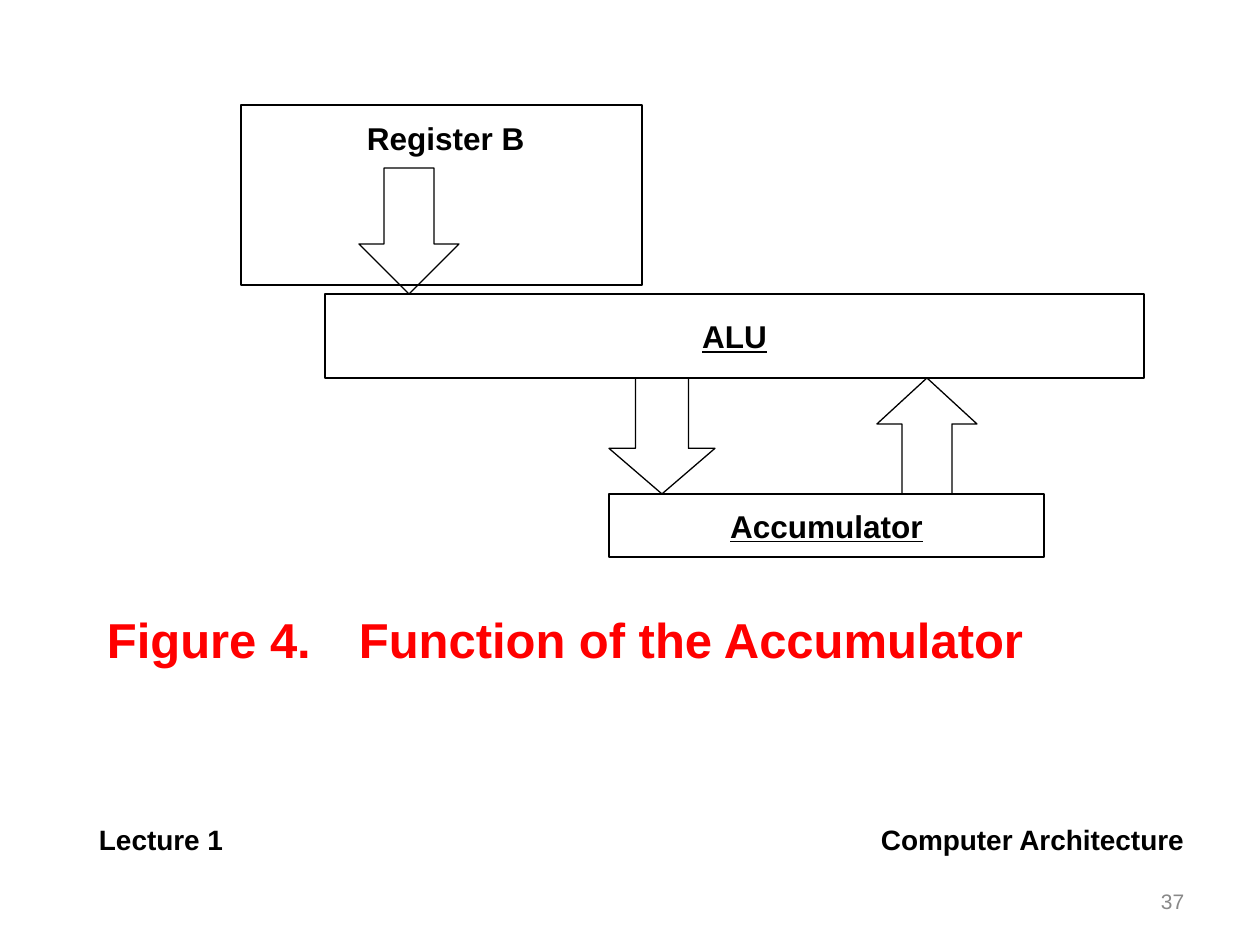
from dataclasses import dataclass

from lxml.etree import SubElement
from pptx import Presentation
from pptx.dml.color import RGBColor
from pptx.enum.shapes import MSO_SHAPE
from pptx.enum.text import MSO_ANCHOR, MSO_AUTO_SIZE, PP_ALIGN
from pptx.oxml.ns import qn
from pptx.util import Pt

PX = 914400 // 126


@dataclass(frozen=True)
class Theme:
    """Colours, font and type sizes of the slide."""
    font: str = "Arial"
    ink: RGBColor = RGBColor(0, 0, 0)
    accent: RGBColor = RGBColor(255, 0, 0)
    muted: RGBColor = RGBColor(0x88, 0x88, 0x88)
    label: int = 18
    caption: int = 28
    footer: int = 16
    number: int = 12
    line: float = 0.75


THEME = Theme()


def emu(*lengths):
    """Turn px lengths into EMU."""
    return [length * PX for length in lengths]


def apply(target, values):
    """Set each named attribute on the target."""
    for name, value in values.items():
        setattr(target, name, value)


def outline(shape):
    """Give a shape a thin dark outline and no fill."""
    shape.fill.background()
    shape.line.color.rgb = THEME.ink
    shape.line.width = Pt(THEME.line)
    shape.shadow.inherit = False


def write(shape, text, size, color=THEME.ink, bold=True, underline=False,
          align=PP_ALIGN.LEFT, anchor=MSO_ANCHOR.TOP, top=0, indent=0):
    """Write one formatted paragraph into a shape."""
    frame = shape.text_frame
    apply(frame, {"auto_size": MSO_AUTO_SIZE.NONE, "word_wrap": True,
                  "vertical_anchor": anchor, "margin_left": 0,
                  "margin_right": 0, "margin_top": top * PX, "margin_bottom": 0})
    paragraph = frame.paragraphs[0]
    paragraph.alignment = align
    run = paragraph.add_run()
    run.text = text
    apply(run.font, {"name": THEME.font, "size": Pt(size), "bold": bold,
                     "underline": underline})
    run.font.color.rgb = color
    properties = paragraph._p.get_or_add_pPr()
    properties.set("marL", str(indent * PX))
    properties.set("indent", "0")
    return properties


def add_register(slide, x, y, w, h):
    """Place the register box in the title placeholder."""
    register = slide.shapes.title
    apply(register, dict(zip(("left", "top", "width", "height"), emu(x, y, w, h))))
    register.fill.background()
    register.line.color.rgb = THEME.ink
    register.line.width = Pt(THEME.line)
    write(register, "Register B", THEME.label, top=14, indent=126)


def add_unit(slide, x, y, w, h, name):
    """Place an outlined box with a centred, underlined name."""
    unit = slide.shapes.add_shape(MSO_SHAPE.RECTANGLE, *emu(x, y, w, h))
    outline(unit)
    write(unit, name, THEME.label, underline=True,
          align=PP_ALIGN.CENTER, anchor=MSO_ANCHOR.MIDDLE)


def add_flow(slide, x, y, w, h, direction, head):
    """Place a block arrow whose shaft is half its width."""
    flow = slide.shapes.add_shape(direction, *emu(x, y, w, h))
    flow.adjustments[0] = 0.5
    flow.adjustments[1] = round(head / w, 2)
    outline(flow)


def add_diagram(slide, x, y):
    """Place the registers, the ALU and the data flows between them."""
    add_register(slide, x, y, 401, 180)
    add_unit(slide, x + 84, y + 189, 819, 84, "ALU")
    add_unit(slide, x + 368, y + 389, 435, 63, "Accumulator")
    add_flow(slide, x + 118, y + 63, 100, 126, MSO_SHAPE.DOWN_ARROW, 50)
    add_flow(slide, x + 368, y + 273, 106, 116, MSO_SHAPE.DOWN_ARROW, 46)
    add_flow(slide, x + 636, y + 273, 100, 116, MSO_SHAPE.UP_ARROW, 46)


def add_note(slide, x, y, w, h, text, size, **style):
    """Place a line of free text."""
    note = slide.shapes.add_textbox(*emu(x, y, w, h))
    return write(note, text, size, **style)


def add_caption(slide, x, y, w, h):
    """Place the figure caption with a tab after its number."""
    properties = add_note(slide, x, y, w, h, "Figure 4.\tFunction of the Accumulator",
                          THEME.caption, color=THEME.accent, top=4, indent=1)
    stops = SubElement(properties, qn("a:tabLst"))
    SubElement(stops, qn("a:tab"), pos=str(233 * PX), algn="l")


def add_footer(slide, x, y, w):
    """Place the lecture, the course and the page number."""
    add_note(slide, x, y, 150, 38, "Lecture 1", THEME.footer, top=4, indent=1)
    add_note(slide, x + w - 315, y, 315, 38, "Computer Architecture",
             THEME.footer, top=4, indent=1)
    add_note(slide, x + w - 40, y + 69, 34, 27, "37", THEME.number,
             color=THEME.muted, bold=False, top=1, indent=6)


def main():
    """Build the slide and save it."""
    deck = Presentation()
    deck.slide_width, deck.slide_height = emu(1260, 945)
    slide = deck.slides.add_slide(deck.slide_layouts[5])
    add_diagram(slide, 241, 105)
    add_caption(slide, 106, 606, 920, 63)
    add_footer(slide, 98, 819, 1097)
    deck.save("out.pptx")


if __name__ == "__main__":
    main()
